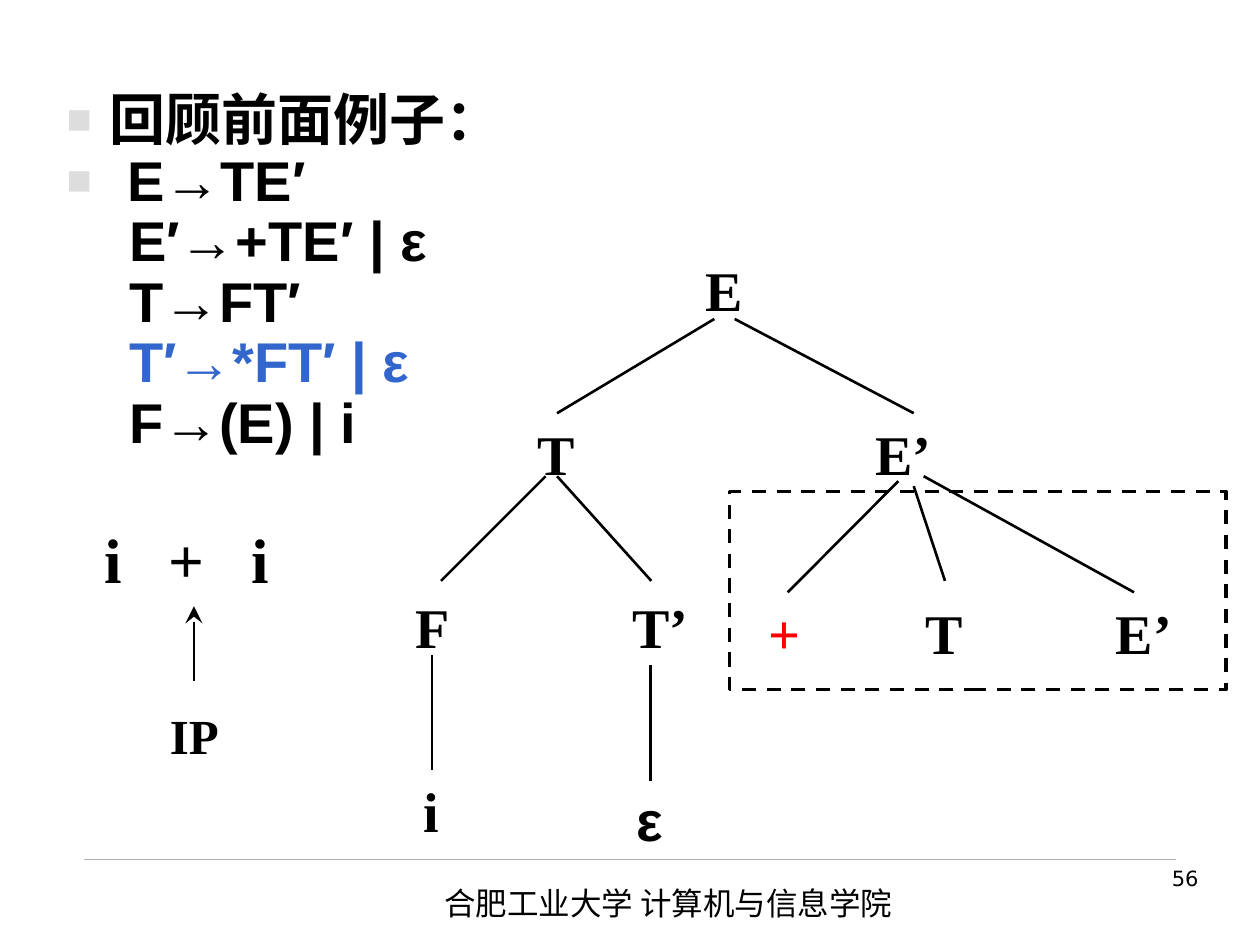
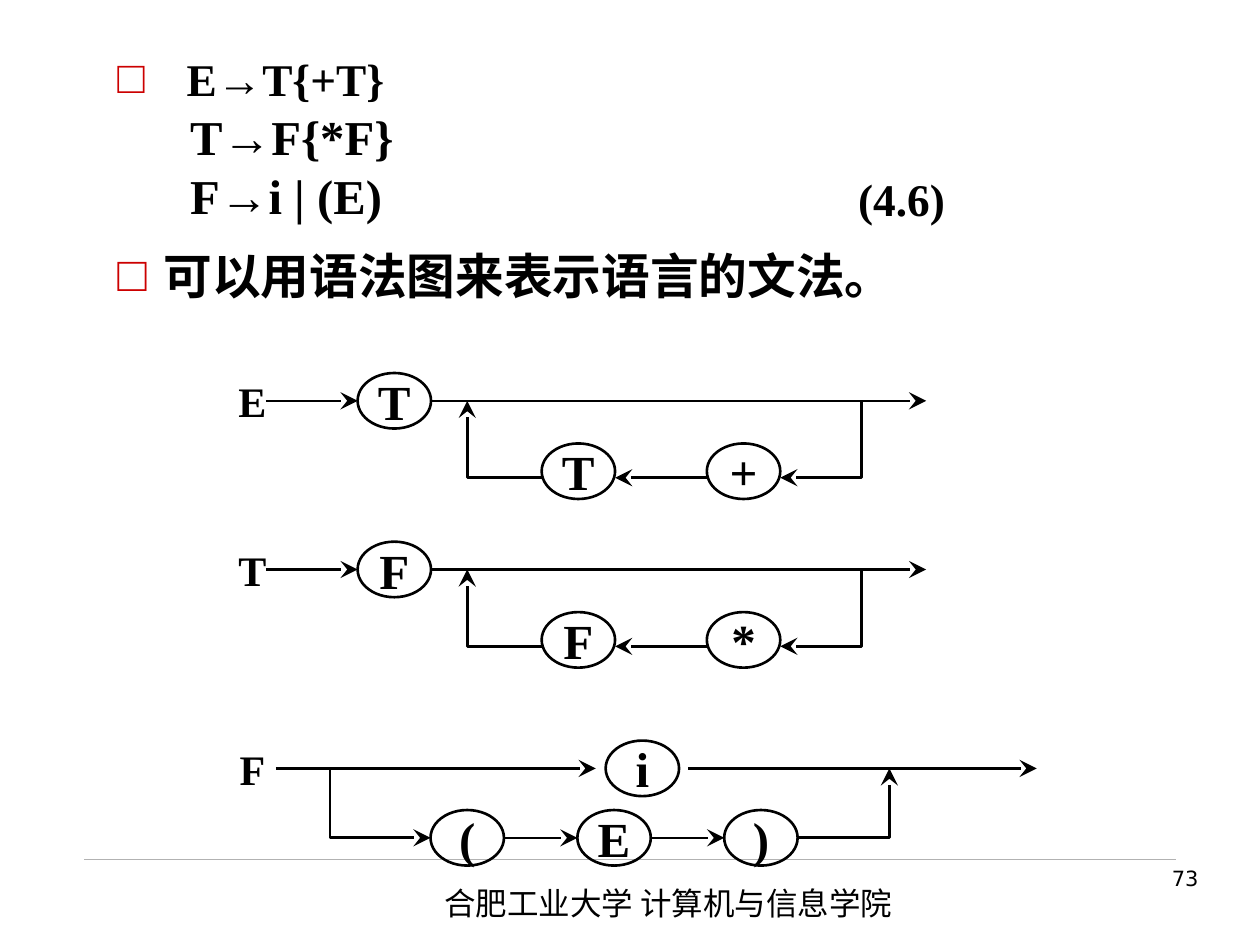
from dataclasses import dataclass
from itertools import pairwise

from lxml.etree import SubElement
from pptx import Presentation
from pptx.dml.color import RGBColor as Color
from pptx.enum.dml import MSO_LINE as Dash
from pptx.enum.shapes import MSO_CONNECTOR as Connector, MSO_SHAPE as Shape
from pptx.enum.text import MSO_ANCHOR as Anchor, MSO_AUTO_SIZE as AutoSize, PP_ALIGN as Align
from pptx.oxml.ns import qn
from pptx.util import Cm, Pt


@dataclass(frozen=True)
class Theme:
    ink: str = "000000"
    accent: str = "3366CC"
    match: str = "FF0000"
    rule: str = "B2B2B2"
    gray_bullet: str = "DDDDDD"
    red_bullet: str = "CC0000"
    serif: str = "Times New Roman"
    sans: str = "Arial"
    chinese: str = "Noto Sans CJK SC"
    number_font: str = "DejaVu Sans"
    line: float = 1.5
    frame_line: float = 2
    input_size: float = 36
    tree_size: float = 32
    node_size: float = 28
    symbol_size: float = 24
    grammar_size: float = 27.8
    small_grammar_size: float = 25.9
    footer_size: float = 18
    number_size: float = 12


THEME = Theme()
FOOTER = "合肥工业大学 计算机与信息学院"
LABEL_WIDTH = 2.6
NODE_WIDTH, NODE_HEIGHT = 1.48, 1.12


# Text
def set_format(target, values):
    for name, value in values.items():
        setattr(target, name, value)


def add_run(paragraph, text, size, font=THEME.serif, color=THEME.ink, bold=True):
    run = paragraph.add_run()
    run.text = text
    set_format(run.font, {"size": Pt(size), "name": font, "bold": bold})
    run.font.color.rgb = Color.from_string(color)
    SubElement(run.font._element, qn("a:ea"), typeface=THEME.chinese)


def set_bullet(paragraph, margin, bullet=None, bullet_color=None, bullet_size=100):
    properties = paragraph._p.get_or_add_pPr()
    properties.set("marL", str(Cm(margin)))
    properties.set("indent", str(-Cm(margin) if bullet else 0))
    if bullet:
        color = SubElement(properties, qn("a:buClr"))
        SubElement(color, qn("a:srgbClr"), val=bullet_color)
        SubElement(properties, qn("a:buSzPct"), val=str(bullet_size * 1000))
        SubElement(properties, qn("a:buFont"), typeface=THEME.sans)
        SubElement(properties, qn("a:buChar"), char=bullet)
    else:
        SubElement(properties, qn("a:buNone"))


def add_text(slide, text, left, top, width, height, size, align=Align.LEFT,
             wrap=True, anchor=Anchor.TOP, **run_format):
    frame = slide.shapes.add_textbox(Cm(left), Cm(top), Cm(width), Cm(height)).text_frame
    set_format(frame, {"word_wrap": wrap, "vertical_anchor": anchor})
    paragraph = frame.paragraphs[0]
    paragraph.alignment = align
    add_run(paragraph, text, size, **run_format)


def add_label(slide, text, center, top, size=THEME.tree_size, **run_format):
    add_text(slide, text, center - LABEL_WIDTH / 2, top, LABEL_WIDTH, 1.62, size,
             Align.CENTER, wrap=False, **run_format)


def place_body(slide, left, top, width, height):
    body = slide.placeholders[1]
    set_format(body, {"left": Cm(left), "top": Cm(top),
                      "width": Cm(width), "height": Cm(height)})
    set_format(body.text_frame, {"word_wrap": True, "auto_size": AutoSize.NONE})
    return body.text_frame


def add_item(frame, index, spacing, before=0, **layout):
    paragraph = frame.paragraphs[0] if index == 0 else frame.add_paragraph()
    set_format(paragraph, {"line_spacing": spacing, "space_before": Pt(before)})
    set_bullet(paragraph, **layout)
    return paragraph


# Lines and nodes
def style_line(line, color=THEME.ink, width=THEME.line, arrow=False):
    line.color.rgb = Color.from_string(color)
    line.width = Pt(width)
    if arrow:
        SubElement(line._get_or_add_ln(), qn("a:tailEnd"), type="stealth",
                   w="lg", len="lg")


def add_line(slide, start, end, **line_format):
    connector = slide.shapes.add_connector(
        Connector.STRAIGHT, *(Cm(value) for value in (*start, *end)))
    style_line(connector.line, **line_format)
    SubElement(connector._element.spPr, qn("a:effectLst"))


def add_arrow(slide, start, end):
    add_line(slide, start, end, arrow=True)


def add_bent_arrow(slide, *points):
    start, *rest = [(Cm(x), Cm(y)) for x, y in points]
    builder = slide.shapes.build_freeform(*start)
    builder.add_line_segments(rest, close=False)
    shape = builder.convert_to_shape()
    shape.shadow.inherit = False
    shape.fill.background()
    style_line(shape.line, arrow=True)


def add_outline(slide, kind, left, top, width, height, line_width=THEME.line):
    shape = slide.shapes.add_shape(kind, Cm(left), Cm(top), Cm(width), Cm(height))
    shape.shadow.inherit = False
    shape.fill.background()
    style_line(shape.line, width=line_width)
    return shape


def add_node(slide, text, x, y):
    shape = add_outline(slide, Shape.OVAL, x - NODE_WIDTH / 2, y - NODE_HEIGHT / 2,
                        NODE_WIDTH, NODE_HEIGHT)
    frame = shape.text_frame
    set_format(frame, {"word_wrap": False, "vertical_anchor": Anchor.MIDDLE})
    frame.paragraphs[0].alignment = Align.CENTER
    add_run(frame.paragraphs[0], text, THEME.node_size)


# Shared slide frame
def add_slide(presentation, number):
    slide = presentation.slides.add_slide(presentation.slide_layouts[1])
    title = slide.shapes.title._element
    title.getparent().remove(title)
    add_line(slide, (1.7, 17.32), (23.7, 17.32), color=THEME.rule, width=0.25)
    add_text(slide, FOOTER, 8.71, 17.7, 12.19, 1.02, THEME.footer_size,
             font=THEME.chinese, bold=False)
    add_text(slide, str(number), 18.9, 17.32, 5.51, 1.32, THEME.number_size,
             Align.RIGHT, font=THEME.number_font, bold=False)
    return slide


# Slide with the parse tree
def add_productions(slide):
    frame = place_body(slide, 1.09, 1.73, 11.25, 8.79)
    bullet = {"bullet": "■", "bullet_color": THEME.gray_bullet, "bullet_size": 75}
    items = [
        ("回顾前面例子：", THEME.ink, {"margin": 0.87, **bullet}),
        ("E→TE′", THEME.ink, {"margin": 1.22, **bullet}),
        ("E′→+TE′ | ε", THEME.ink, {"margin": 1.26}),
        ("T→FT′", THEME.ink, {"margin": 1.26}),
        ("T′→*FT′ | ε", THEME.accent, {"margin": 1.26}),
        ("F→(E) | i", THEME.ink, {"margin": 1.26}),
    ]
    for index, (text, color, layout) in enumerate(items):
        paragraph = add_item(frame, index, 0.9, **layout)
        add_run(paragraph, text, THEME.tree_size, THEME.sans, color)


def add_input(slide):
    for index, symbol in enumerate("i+i"):
        add_label(slide, symbol, 2.28 + 1.48 * index, 10.36, THEME.input_size)
    add_arrow(slide, (3.91, 13.72), (3.91, 12.22))
    add_label(slide, "IP", 3.92, 14.1, THEME.node_size)


def add_parse_tree(slide):
    nodes = [
        ("E", 14.59, 5.03), ("T", 11.21, 8.33), ("E’", 18.21, 8.33),
        ("F", 8.72, 11.81), ("T’", 13.31, 11.81), ("i", 8.69, 15.52),
        ("T", 19.04, 11.94), ("E’", 23.06, 11.94),
    ]
    for text, center, top in nodes:
        add_label(slide, text, center, top)
    add_label(slide, "ε", 13.09, 15.72, font=THEME.sans)
    add_label(slide, "+", 15.81, 11.94, color=THEME.match)

    branches = [
        ((14.4, 6.43), (11.23, 8.33)), ((14.81, 6.43), (18.42, 8.33)),
        ((11, 9.6), (8.89, 11.71)), ((11.23, 9.6), (13.13, 11.71)),
        ((8.71, 13.21), (8.71, 15.52)), ((13.11, 13.41), (13.11, 15.75)),
        ((18.11, 9.7), (15.88, 11.94)), ((18.42, 9.8), (19.05, 11.71)),
        ((18.62, 9.6), (22.86, 11.94)),
    ]
    for start, end in branches:
        add_line(slide, start, end)
    frame = add_outline(slide, Shape.RECTANGLE, 14.71, 9.91, 10.01, 3.99, THEME.frame_line)
    frame.line.dash_style = Dash.DASH


# Slide with the syntax diagrams
def add_extended_grammar(slide):
    frame = place_body(slide, 2.11, 1.12, 22.02, 5.08)
    bullet = {"bullet": "□", "bullet_color": THEME.red_bullet}
    large, small = THEME.grammar_size, THEME.small_grammar_size
    items = [
        ("E→T{+T}", small, 7, {"margin": 1.4, **bullet}),
        ("T→F{*F}", large, 7.5, {"margin": 1.47}),
        ("F→i | (E)", large, 7, {"margin": 1.47}),
        ("可以用语法图来表示语言的文法。", large, 18.7, {"margin": 0.93, **bullet}),
    ]
    for index, (text, size, before, layout) in enumerate(items):
        paragraph = add_item(frame, index, 0.8, before, **layout)
        add_run(paragraph, text, size)
    add_text(slide, "(4.6)", 17.05, 3.4, 2.6, 1.2, small, wrap=False, anchor=Anchor.MIDDLE)


def add_symbol(slide, text, y):
    add_text(slide, text, 4.44, y - 0.42, 1.3, 0.84, THEME.symbol_size,
             Align.CENTER, wrap=False, anchor=Anchor.MIDDLE)


def add_loop_diagram(slide, symbol, operand, operator, y):
    """Draw an operand followed by a loop through an operator and the operand."""
    loop_y, node_y = y + 1.55, y + 1.42
    half = NODE_WIDTH / 2
    first, repeated, joined = 7.95, 11.66, 14.99
    loop_left, loop_right = 9.42, 17.37
    add_symbol(slide, symbol, y)
    add_node(slide, operand, first, y)
    add_node(slide, operand, repeated, node_y)
    add_node(slide, operator, joined, node_y)
    add_arrow(slide, (5.36, y), (first - half, y))
    add_arrow(slide, (first + half, y), (18.67, y))
    add_bent_arrow(slide, (loop_right, y), (loop_right, loop_y), (joined + half, loop_y))
    add_arrow(slide, (joined - half, loop_y), (repeated + half, loop_y))
    add_bent_arrow(slide, (repeated - half, loop_y), (loop_left, loop_y), (loop_left, y))


def add_choice_diagram(slide, y):
    """Draw the choice between i and a bracketed E."""
    lower_y, half = y + 1.4, NODE_WIDTH / 2
    centers = [9.42, 12.38, 15.34]
    fork, join = 6.65, 17.93
    add_symbol(slide, "F", y)
    add_node(slide, "i", 12.95, y)
    add_arrow(slide, (5.56, y), (12.01, y))
    add_arrow(slide, (13.87, y), (20.9, y))
    for text, center in zip("(E)", centers):
        add_node(slide, text, center, lower_y)
    for left, right in pairwise(centers):
        add_arrow(slide, (left + half, lower_y), (right - half, lower_y))
    add_bent_arrow(slide, (fork, y), (fork, lower_y), (centers[0] - half, lower_y))
    add_bent_arrow(slide, (centers[-1] + half, lower_y), (join, lower_y), (join, y))


def main():
    presentation = Presentation()
    set_format(presentation, {"slide_width": Cm(25.4), "slide_height": Cm(19.05)})

    tree_slide = add_slide(presentation, 56)
    add_productions(tree_slide)
    add_input(tree_slide)
    add_parse_tree(tree_slide)

    diagram_slide = add_slide(presentation, 73)
    add_extended_grammar(diagram_slide)
    add_loop_diagram(diagram_slide, "E", "T", "+", 8.08)
    add_loop_diagram(diagram_slide, "T", "F", "*", 11.48)
    add_choice_diagram(diagram_slide, 15.49)

    presentation.save("out.pptx")


if __name__ == "__main__":
    main()
